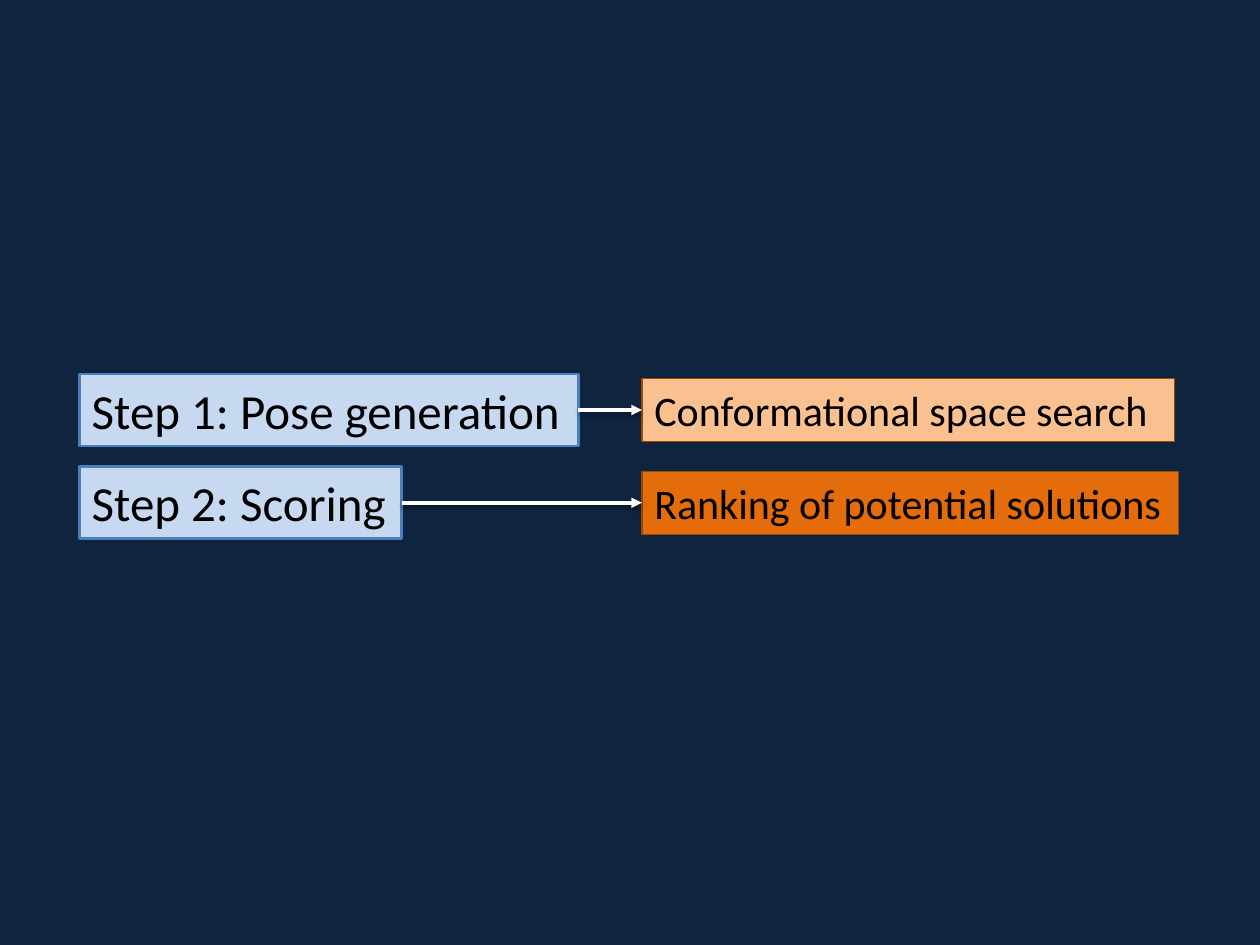
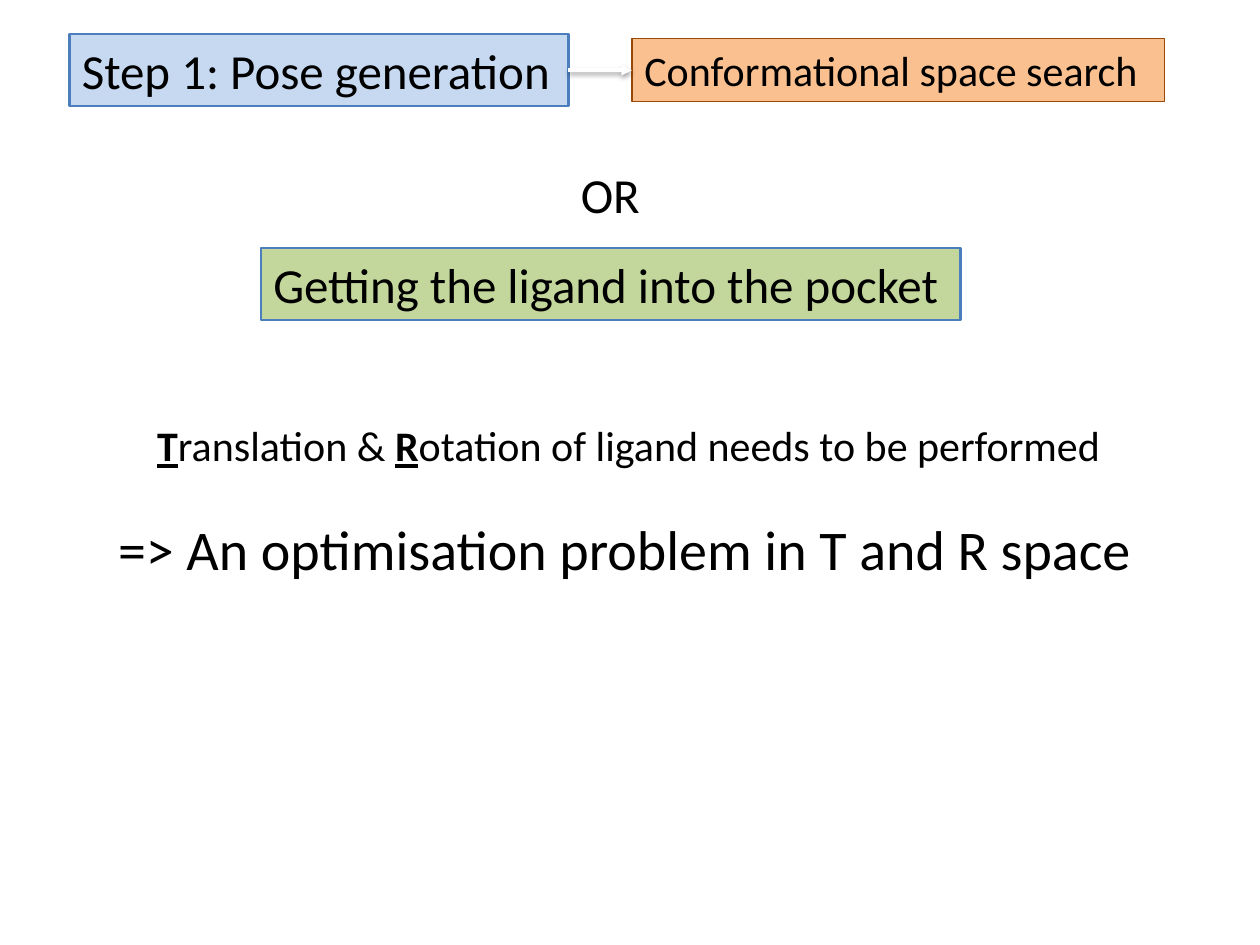
from lxml import etree
from pptx import Presentation
from pptx.dml.color import RGBColor
from pptx.enum.shapes import MSO_CONNECTOR, MSO_SHAPE
from pptx.enum.text import MSO_ANCHOR, PP_ALIGN
from pptx.oxml.ns import qn
from pptx.util import Cm, Pt

RECTANGLE = MSO_SHAPE.RECTANGLE
STRAIGHT = MSO_CONNECTOR.STRAIGHT
LEFT = PP_ALIGN.LEFT
TOP = MSO_ANCHOR.TOP

NAVY = RGBColor(0x0F, 0x24, 0x3E)
WHITE = RGBColor(0xFF, 0xFF, 0xFF)
BLACK = RGBColor(0, 0, 0)
PALE_BLUE = RGBColor(0xC6, 0xD9, 0xF1)
BLUE = RGBColor(0x4B, 0x7E, 0xBC)
PEACH = RGBColor(0xFA, 0xC0, 0x90)
ORANGE = RGBColor(0xE4, 0x6C, 0x0A)
BROWN = RGBColor(0x98, 0x48, 0x07)
GREEN = RGBColor(0xC3, 0xD6, 0x9B)

FONT = "Calibri"
STEP_HEIGHT = 1.45
DETAIL_HEIGHT = 1.27
DETAIL_OFFSET = 11.34
ROW_PITCH = 1.87

# Each step: label, label width, detail, detail width, detail fill
POSE_STEP = ("Step 1: Pose generation", 10.06,
             "Conformational space search", 10.74, PEACH)
SCORING_STEP = ("Step 2: Scoring", 6.5,
                "Ranking of potential solutions", 10.82, ORANGE)


def new_slide(deck, background):
    slide = deck.slides.add_slide(deck.slide_layouts[6])
    slide.background.fill.solid()
    slide.background.fill.fore_color.rgb = background
    return slide


def write(shape, runs, size):
    """Fill a shape with one line of (text, emphasised) runs."""
    frame = shape.text_frame
    frame.word_wrap = True
    frame.vertical_anchor = TOP
    paragraph = frame.paragraphs[0]
    paragraph.alignment = LEFT
    paragraph.font.name = FONT
    paragraph.font.size = Pt(size)
    paragraph.font.color.rgb = BLACK
    for text, emphasised in runs:
        run = paragraph.add_run()
        run.text = text
        if emphasised:
            run.font.bold = run.font.underline = True


def add_label(slide, box, text, size, fill, outline, weight):
    label = slide.shapes.add_shape(RECTANGLE, *map(Cm, box))
    label.shadow.inherit = False
    label.fill.solid()
    label.fill.fore_color.rgb = fill
    label.line.color.rgb = outline
    label.line.width = Pt(weight)
    write(label, [(text, False)], size)


def add_statement(slide, box, runs, size):
    write(slide.shapes.add_textbox(*map(Cm, box)), runs, size)


def add_arrow(slide, start, end, y):
    arrow = slide.shapes.add_connector(STRAIGHT, Cm(start), Cm(y), Cm(end), Cm(y))
    arrow.line.color.rgb = WHITE
    arrow.line.width = Pt(2)
    etree.SubElement(arrow.line._get_or_add_ln(), qn("a:tailEnd"), type="triangle")
    # Soft shadow straight below the arrow
    effects = etree.SubElement(arrow._element.spPr, qn("a:effectLst"))
    shadow = etree.SubElement(effects, qn("a:outerShdw"), blurRad=str(Pt(3.1)),
                              dist=str(Pt(1.6)), dir="5400000", rotWithShape="0")
    colour = etree.SubElement(shadow, qn("a:srgbClr"), val="000000")
    etree.SubElement(colour, qn("a:alpha"), val="38000")


def add_step(slide, left, top, step):
    """Step label, with an arrow to its detail on the same centre line."""
    name, name_width, detail, detail_width, detail_fill = step
    middle = top + STEP_HEIGHT / 2
    detail_left = left + DETAIL_OFFSET
    add_label(slide, (left, top, name_width, STEP_HEIGHT),
              name, 28, PALE_BLUE, BLUE, 1.5)
    add_label(slide, (detail_left, middle - DETAIL_HEIGHT / 2, detail_width, DETAIL_HEIGHT),
              detail, 24, detail_fill, BROWN, 0.75)
    add_arrow(slide, left + name_width, detail_left, middle)


def build_overview(deck):
    slide = new_slide(deck, NAVY)
    for row, step in enumerate((POSE_STEP, SCORING_STEP)):
        add_step(slide, 1.6, 7.54 + row * ROW_PITCH, step)


def build_pose_generation(deck):
    slide = new_slide(deck, WHITE)
    add_step(slide, 1.4, 0.69, POSE_STEP)
    # Plain-words alternative
    add_statement(slide, (11.46, 3.2, 1.73, STEP_HEIGHT), [("OR", False)], 28)
    add_label(slide, (5.26, 5, 14.1, STEP_HEIGHT),
              "Getting the ligand into the pocket", 28, GREEN, BLUE, 1.5)
    # What it takes
    add_statement(slide, (2.92, 8.33, 19.61, DETAIL_HEIGHT),
                  [("T", True), ("ranslation & ", False), ("R", True),
                   ("otation of ligand needs to be performed", False)], 24)
    add_statement(slide, (2.13, 10.24, 21.18, 1.63),
                  [("=> An optimisation problem in T and R space", False)], 32)


def main():
    deck = Presentation()
    deck.slide_width, deck.slide_height = Cm(25.4), Cm(19.05)
    build_overview(deck)
    build_pose_generation(deck)
    deck.save("out.pptx")


if __name__ == "__main__":
    main()
